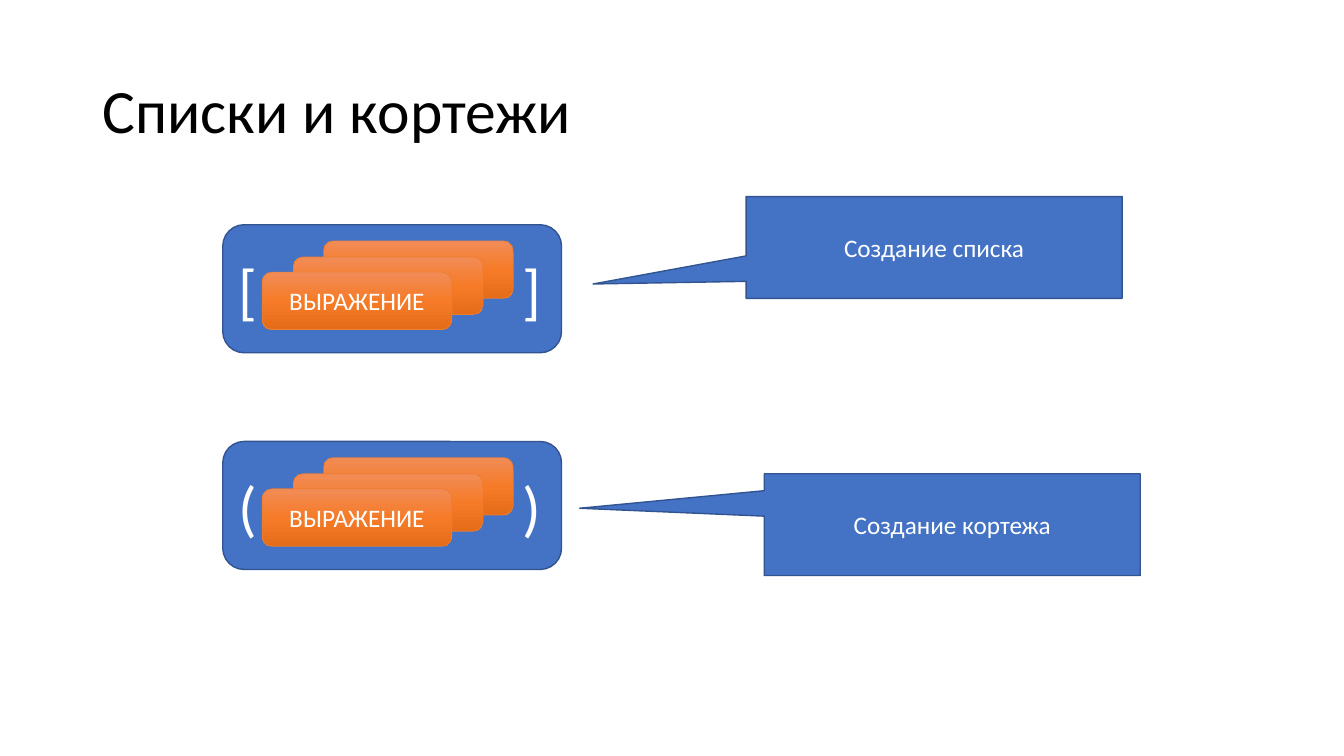
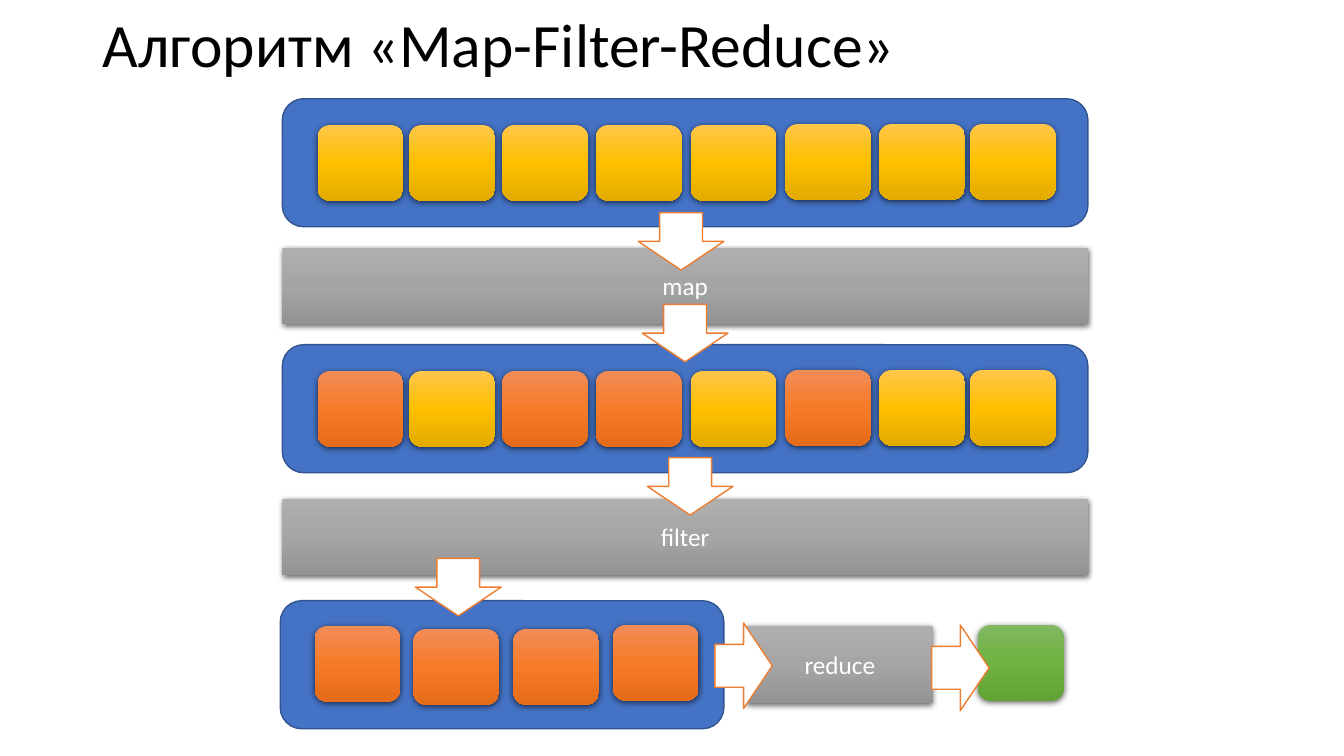
from copy import deepcopy
from lxml import etree
from pptx import Presentation
from pptx.dml.color import RGBColor
from pptx.enum.shapes import MSO_SHAPE as SHAPE
from pptx.enum.text import MSO_ANCHOR, MSO_AUTO_SIZE, PP_ALIGN
from pptx.oxml import parse_xml
from pptx.oxml.ns import nsdecls, qn
from pptx.util import Inches, Pt

FONT = "Calibri"
WHITE, BLACK = "FFFFFF", "000000"
BLUE, NAVY, ORANGE_LINE = "4472C4", "325491", "ED7D31"
ORANGE = ["F18C57", "F67B28", "E56C19"]
YELLOW = ["FFC64B", "FFC000", "E3AB00"]
GRAY = ["AFAFAF", "A5A5A5", "939393"]
GREEN = ["81B861", "6FB242", "62A336"]
SHADOW = (
    f'<a:outerShdw {nsdecls("a")} blurRad="57150" dist="19050" dir="5400000" '
    'algn="ctr" rotWithShape="0"><a:srgbClr val="000000">'
    '<a:alpha val="63000"/></a:srgbClr></a:outerShdw>'
)

prs = Presentation()
prs.slide_width, prs.slide_height = Inches(13.33), Inches(7.5)
rgb = RGBColor.from_string


def write(frame, text, size, color, align):
    paragraph = frame.paragraphs[0]
    paragraph.alignment = align
    run = paragraph.add_run()
    run.text = text
    run.font.size, run.font.name = Pt(size), FONT
    run.font.color.rgb = rgb(color)
    return paragraph


def block(slide, kind, left, top, width, height, fill, line=None, weight=1,
          text="", shadow=False):
    shape = slide.shapes.add_shape(
        kind, Inches(left), Inches(top), Inches(width), Inches(height))
    shape.shadow.inherit = False
    if isinstance(fill, list):
        shape.fill.gradient()
        shape.fill.gradient_angle = 270
        stop_list = shape._element.spPr.find(".//" + qn("a:gsLst"))
        stop_list.append(deepcopy(stop_list[0]))
        for stop, color, position in zip(shape.fill.gradient_stops, fill, (0, 0.5, 1)):
            stop.color.rgb, stop.position = rgb(color), position
    else:
        shape.fill.solid()
        shape.fill.fore_color.rgb = rgb(fill)
    if line:
        shape.line.color.rgb, shape.line.width = rgb(line), Pt(weight)
    else:
        shape.line.fill.background()
    if shadow:
        shape._element.spPr.find(qn("a:effectLst")).append(parse_xml(SHADOW))
    if text:
        write(shape.text_frame, text, 18, WHITE, PP_ALIGN.CENTER)
    return shape


slides = []
for heading, top, height in [("Списки и кортежи", 0.4, 1.45),
                             ("Алгоритм «Map-Filter-Reduce»", -0.04, 1.03)]:
    slide = prs.slides.add_slide(prs.slide_layouts[5])
    title = slide.shapes.title
    title.left, title.top = Inches(0.92), Inches(top)
    title.width, title.height = Inches(11.5), Inches(height)
    title.text_frame.auto_size = MSO_AUTO_SIZE.NONE
    title.text_frame.vertical_anchor = MSO_ANCHOR.MIDDLE
    write(title.text_frame, heading, 44, BLACK, PP_ALIGN.LEFT).line_spacing = 0.9
    slides.append(slide)
collections, algorithm = slides

for top, brackets in [(2.23, "[\t]"), (4.38, "(\t)")]:
    literal = block(collections, SHAPE.ROUNDED_RECTANGLE, 2.21, top, 3.36, 1.27, BLUE, NAVY)
    paragraph = write(literal.text_frame, brackets, 44, WHITE, PP_ALIGN.LEFT)
    tabs = etree.SubElement(paragraph._p.get_or_add_pPr(), qn("a:tabLst"))
    etree.SubElement(tabs, qn("a:tab"), pos=str(Inches(2.81)), algn="l")
    for left, offset, label in [(3.21, 0.16, ""), (2.91, 0.32, ""), (2.6, 0.47, "ВЫРАЖЕНИЕ")]:
        block(collections, SHAPE.ROUNDED_RECTANGLE, left, top + offset, 1.88, 0.57,
              ORANGE, ORANGE_LINE, 0.5, label)

for left, top, label, tip in [(7.4, 1.95, "Создание списка", (-0.907, 0.359)),
                              (7.58, 4.7, "Создание кортежа", (-0.991, -0.161))]:
    callout = block(collections, SHAPE.RECTANGULAR_CALLOUT, left, top, 3.73, 1.01,
                    BLUE, NAVY, text=label)
    callout.adjustments[0], callout.adjustments[1] = tip

columns = [3.15, 4.06, 4.98, 5.91, 6.85, 7.79, 8.72, 9.62]
mapped = [ORANGE, YELLOW, ORANGE, ORANGE, YELLOW, ORANGE, YELLOW, YELLOW]
items = []
for top, colors in [(0.98, [YELLOW] * 8), (3.42, mapped)]:
    block(algorithm, SHAPE.ROUNDED_RECTANGLE, 2.8, top, 7.99, 1.27, BLUE, NAVY)
    for column, (left, color) in enumerate(zip(columns, colors)):
        items.append((left, top + (0.26 if column < 5 else 0.25), color))
block(algorithm, SHAPE.ROUNDED_RECTANGLE, 2.78, 5.96, 4.4, 1.27, BLUE, NAVY)
items += [(left, top, ORANGE) for left, top in
          [(3.12, 6.21), (4.1, 6.24), (5.09, 6.24), (6.08, 6.2)]]
items.append((9.7, 6.2, GREEN))
for left, top, color in items:
    block(algorithm, SHAPE.ROUNDED_RECTANGLE, left, top, 0.85, 0.75, color, shadow=True)

for left, top, width, height, label in [(2.8, 2.46, 7.99, 0.75, "map"),
                                        (2.8, 4.95, 7.99, 0.75, "filter"),
                                        (7.41, 6.21, 1.84, 0.77, "reduce")]:
    block(algorithm, SHAPE.RECTANGLE, left, top, width, height, GRAY, text=label, shadow=True)

for left, top, turn in [(6.33, 2.11, 0), (6.37, 3.02, 0), (6.42, 4.54, 0),
                        (4.12, 5.54, 0), (6.95, 6.32, 270), (9.1, 6.34, 270)]:
    arrow = block(algorithm, SHAPE.DOWN_ARROW, left, top, 0.85, 0.57, WHITE, ORANGE_LINE)
    arrow.rotation = turn

prs.save("out.pptx")
